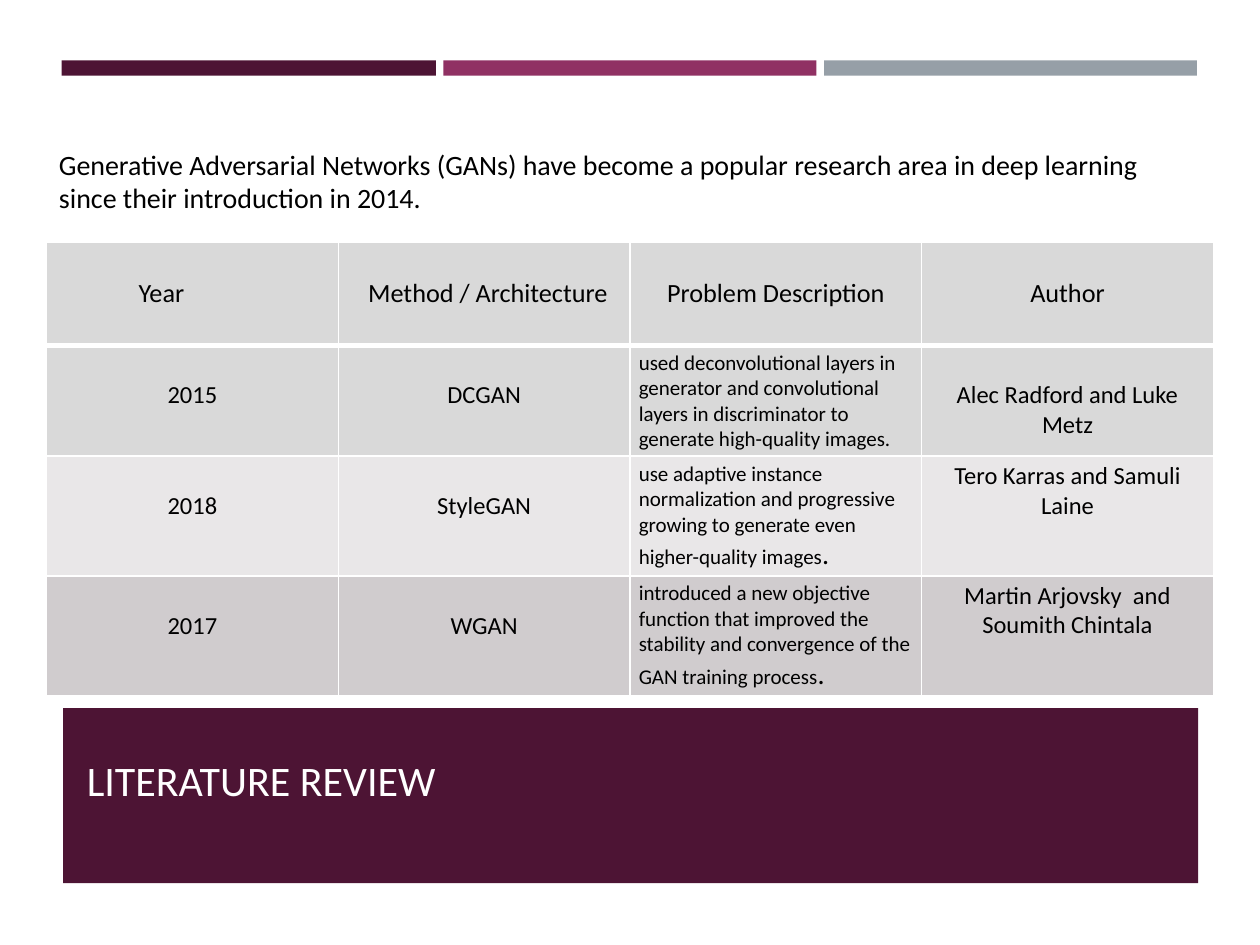
import pptx
import pptx.util
import pptx.dml.color
import pptx.enum.shapes
import pptx.enum.text
import pptx.oxml
import pptx.oxml.ns

Inches = pptx.util.Inches
Pt = pptx.util.Pt
Align = pptx.enum.text.PP_ALIGN
Anchor = pptx.enum.text.MSO_ANCHOR


def paint(item, tone):
    item.solid()
    item.fore_color.rgb = pptx.dml.color.RGBColor.from_string(tone)


def write(para, text, size, tone="000000"):
    run = para.add_run()
    run.text = text
    style = {"name": "Calibri", "size": Pt(size), "bold": False}
    for key, value in style.items():
        setattr(run.font, key, value)
    paint(run.font.fill, tone)


deck = pptx.Presentation()
deck.slide_width, deck.slide_height = Inches(10), Inches(7.5)
slide = deck.slides.add_slide(deck.slide_layouts[6])

bars = [
    (0.49, 0.48, 2.97, 0.12, "4D1434"),
    (3.52, 0.48, 2.96, 0.12, "903163"),
    (6.54, 0.48, 2.96, 0.12, "969FA7"),
    (0.5, 5.62, 9.01, 1.39, "4D1434"),
]
for *place, tone in bars:
    bar = slide.shapes.add_shape(
        pptx.enum.shapes.MSO_SHAPE.RECTANGLE, *map(Inches, place)
    )
    bar.shadow.inherit = False
    paint(bar.fill, tone)
    bar.line.fill.background()

intro = (
    "Generative Adversarial Networks (GANs) have become a popular research area "
    "in deep learning since their introduction in 2014."
)
notes = [
    (0.59, 5.9, 5.62, 0.57, "LITERATURE REVIEW", 24, "FFFFFF", Anchor.MIDDLE),
    (0.37, 1.12, 8.9, 0.64, intro, 16, "000000", Anchor.TOP),
]
for *place, text, size, tone, anchor in notes:
    frame = slide.shapes.add_textbox(*map(Inches, place)).text_frame
    frame.word_wrap = True
    frame.vertical_anchor = anchor
    write(frame.paragraphs[0], text, size, tone)

rows = [
    ("Year", "Method / Architecture", "Problem Description", "Author"),
    (
        "2015",
        "DCGAN",
        "used deconvolutional layers in generator and convolutional layers "
        "in discriminator to generate high-quality images.",
        "Alec Radford and Luke Metz",
    ),
    (
        "2018",
        "StyleGAN",
        "use adaptive instance normalization and progressive growing "
        "to generate even higher-quality images.",
        "Tero Karras and Samuli Laine",
    ),
    (
        "2017",
        "WGAN",
        "introduced a new objective function that improved the stability "
        "and convergence of the GAN training process.",
        "Martin Arjovsky  and\nSoumith Chintala",
    ),
]
tones = ["D9D9D9", "D9D9D9", "E9E7E8", "D0CCCE"]
highs = [0.82, 0.88, 0.95, 0.95]
table = slide.shapes.add_table(
    4, 4, Inches(0.37), Inches(1.92), Inches(9.26), Inches(sum(highs))
).table
table.first_row = table.horz_banding = False
for col in table.columns:
    col.width = Inches(9.26 / 4)

for r, (row, tone, high) in enumerate(zip(rows, tones, highs)):
    table.rows[r].height = Inches(high)
    for c, text in enumerate(row):
        cell = table.cell(r, c)
        paint(cell.fill, tone)
        head, prose = r == 0, r > 0 and c == 2
        drop = not prose and not (c == 3 and r > 1)
        left = {0: 0.73, 1: 0.13}.get(c, 0.07) if head else 0.07
        form = {
            "margin_left": Inches(left),
            "margin_right": Inches(0.07),
            "margin_top": Inches(0.28 if drop else 0.04),
            "margin_bottom": Inches(0.04),
        }
        for key, value in form.items():
            setattr(cell, key, value)
        size = 15 if head else 12 if prose else 14
        for i, line in enumerate(text.split("\n")):
            para = cell.text_frame.paragraphs[0] if i == 0 else cell.text_frame.add_paragraph()
            para.alignment = Align.LEFT if prose or (head and c == 0) else Align.CENTER
            if prose and r > 1:
                write(para, line[:-1], size)
                write(para, ".", 16)
            else:
                write(para, line, size)
        props = cell._tc.get_or_add_tcPr()
        for i, side in enumerate("LRTB"):
            thick = 3 if (r, side) in [(0, "B"), (1, "T")] else 1
            edge = pptx.oxml.parse_xml(
                f'<a:ln{side} {pptx.oxml.ns.nsdecls("a")} w="{Pt(thick)}">'
                '<a:solidFill><a:srgbClr val="FFFFFF"/></a:solidFill>'
                f"</a:ln{side}>"
            )
            props.insert(i, edge)

deck.save("out.pptx")
